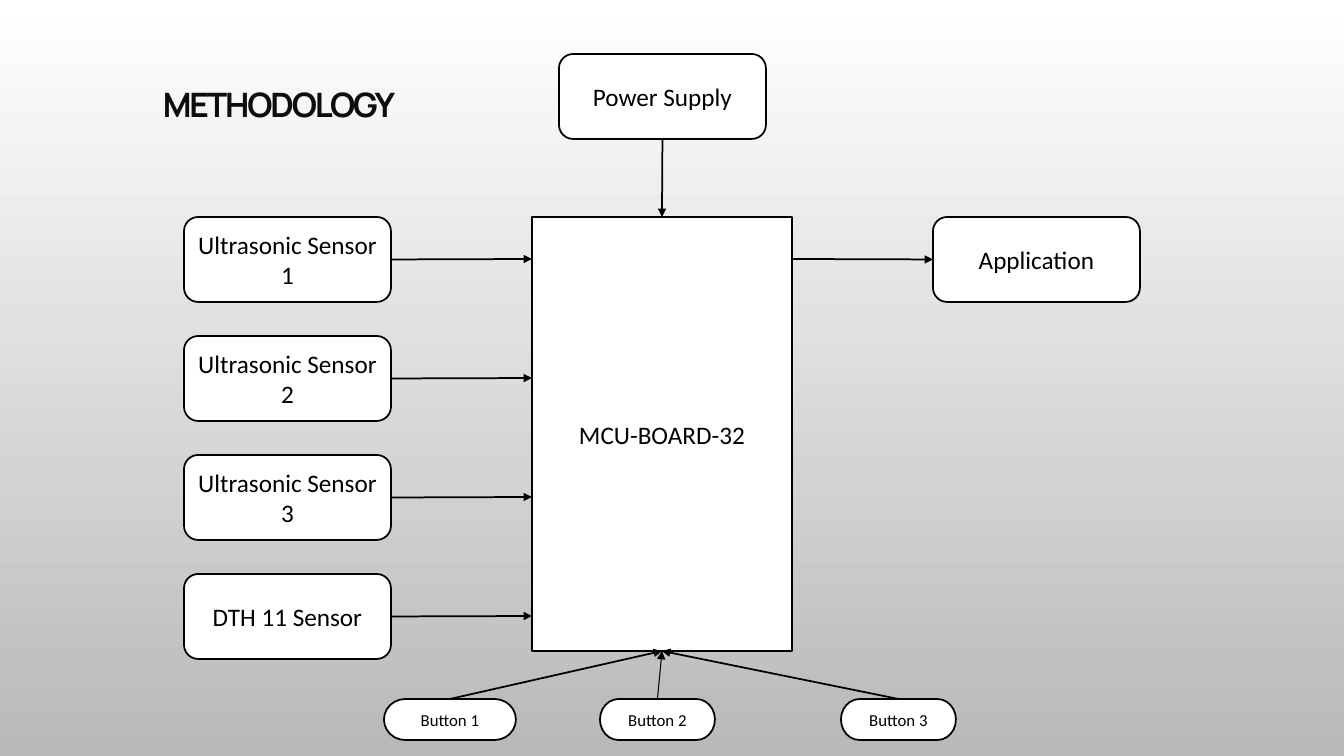
import pptx
import pptx.util
import pptx.dml.color
import pptx.enum.shapes
import pptx.enum.text
import pptx.oxml.ns
import lxml.etree
from dataclasses import dataclass

SHAPES = pptx.enum.shapes.MSO_SHAPE
TOP, BOTTOM, RIGHT = 0, 2, 3

TITLE = ("METHODOLOGY", (-57, 79, 672, 50))
HUB = ("MCU-BOARD-32", (532, 217, 260, 434))
SENSORS = ["Ultrasonic Sensor 1", "Ultrasonic Sensor 2", "Ultrasonic Sensor 3", "DTH 11 Sensor"]
SUPPLY = ("Power Supply", 54)
OUTPUT = "Application"
BUTTONS = [("Button 1", 384, 132, 1.25), ("Button 2", 600, 115, 0.75), ("Button 3", 841, 115, 1.25)]

SLIDE_SIZE = (1344, 756)
BLOCK_SIZE = (207, 85)
SENSOR_LEFT, SENSOR_PITCH = 184, 119
LINK_LENGTH = 141
BUTTON_TOP, BUTTON_HEIGHT = 699, 41


@dataclass(frozen=True)
class Theme:
    background: tuple = ("FFFFFF", "B9B9B9")
    fill: str = "FFFFFF"
    ink: str = "000000"
    title: str = "0D0D0D"
    body_font: str = "Calibri"
    title_font: str = "Manrope"
    title_size: int = 24
    block_size: int = 18
    button_size: int = 12
    line_width: float = 1.25
    title_spacing: int = -150


theme = Theme()


def px(value):
    return pptx.util.Emu(round(value * 914400 / 100.8))


def color(value):
    return pptx.dml.color.RGBColor.from_string(value)


def write(shape, text, size, font_name, font_color, bold=False):
    frame = shape.text_frame
    frame.word_wrap = True
    paragraph = frame.paragraphs[0]
    paragraph.alignment = pptx.enum.text.PP_ALIGN.CENTER
    run = paragraph.add_run()
    run.text = text
    run.font.size = pptx.util.Pt(size)
    run.font.name = font_name
    run.font.bold = bold
    run.font.color.rgb = color(font_color)
    return run


def add_block(slide, kind, text, box, size=theme.block_size):
    shape = slide.shapes.add_shape(kind, *map(px, box))
    shape.shadow.inherit = False
    shape.fill.solid()
    shape.fill.fore_color.rgb = color(theme.fill)
    shape.line.color.rgb = color(theme.ink)
    shape.line.width = pptx.util.Pt(theme.line_width)
    shape.text_frame.vertical_anchor = pptx.enum.text.MSO_ANCHOR.MIDDLE
    write(shape, text, size, theme.body_font, theme.ink)
    return shape


def add_arrow(slide, start, end, width=theme.line_width):
    connector = slide.shapes.add_connector(
        pptx.enum.shapes.MSO_CONNECTOR.STRAIGHT, *map(px, start + end))
    connector.line.color.rgb = color(theme.ink)
    connector.line.width = pptx.util.Pt(width)
    qn = pptx.oxml.ns.qn
    line = connector.line._get_or_add_ln()
    lxml.etree.SubElement(line, qn("a:tailEnd"), type="triangle")
    lxml.etree.SubElement(connector._element.spPr, qn("a:effectLst"))
    return connector


def main():
    presentation = pptx.Presentation()
    presentation.slide_width, presentation.slide_height = map(px, SLIDE_SIZE)
    slide = presentation.slides.add_slide(presentation.slide_layouts[6])

    background = slide.background.fill
    background.gradient()
    background.gradient_angle = 270
    for stop, value in zip(background.gradient_stops, theme.background):
        stop.color.rgb = color(value)

    hub_text, hub_box = HUB
    hub_left, hub_top, hub_width, hub_height = hub_box
    hub_right, hub_bottom = hub_left + hub_width, hub_top + hub_height
    hub_center = hub_left + hub_width // 2
    block_width, block_height = BLOCK_SIZE
    hub = add_block(slide, SHAPES.RECTANGLE, hub_text, hub_box)

    for index, text in enumerate(SENSORS):
        top = hub_top + index * SENSOR_PITCH
        middle = top + block_height // 2
        sensor = add_block(slide, SHAPES.ROUNDED_RECTANGLE, text, (SENSOR_LEFT, top, *BLOCK_SIZE))
        arrow = add_arrow(slide, (SENSOR_LEFT + block_width, middle), (hub_left, middle))
        arrow.begin_connect(sensor, RIGHT)

    supply_text, supply_top = SUPPLY
    supply_box = (hub_center - block_width // 2, supply_top, *BLOCK_SIZE)
    supply = add_block(slide, SHAPES.ROUNDED_RECTANGLE, supply_text, supply_box)
    arrow = add_arrow(slide, (hub_center, supply_top + block_height), (hub_center, hub_top))
    arrow.begin_connect(supply, BOTTOM)
    arrow.end_connect(hub, TOP)

    output_left = hub_right + LINK_LENGTH
    output_middle = hub_top + block_height // 2
    output = add_block(slide, SHAPES.ROUNDED_RECTANGLE, OUTPUT, (output_left, hub_top, *BLOCK_SIZE))
    arrow = add_arrow(slide, (hub_right, output_middle), (output_left, output_middle))
    arrow.end_connect(output, 1)

    for text, left, width, line_width in BUTTONS:
        box = (left, BUTTON_TOP, width, BUTTON_HEIGHT)
        button = add_block(slide, SHAPES.FLOWCHART_TERMINATOR, text, box, theme.button_size)
        start = (left + width // 2, BUTTON_TOP)
        arrow = add_arrow(slide, start, (hub_center, hub_bottom), line_width)
        arrow.begin_connect(button, TOP)
        arrow.end_connect(hub, BOTTOM)

    title_text, title_box = TITLE
    title = slide.shapes.add_textbox(*map(px, title_box))
    run = write(title, title_text, theme.title_size, theme.title_font, theme.title, True)
    run.font._element.set("spc", str(theme.title_spacing))

    presentation.save("out.pptx")


if __name__ == "__main__":
    main()
